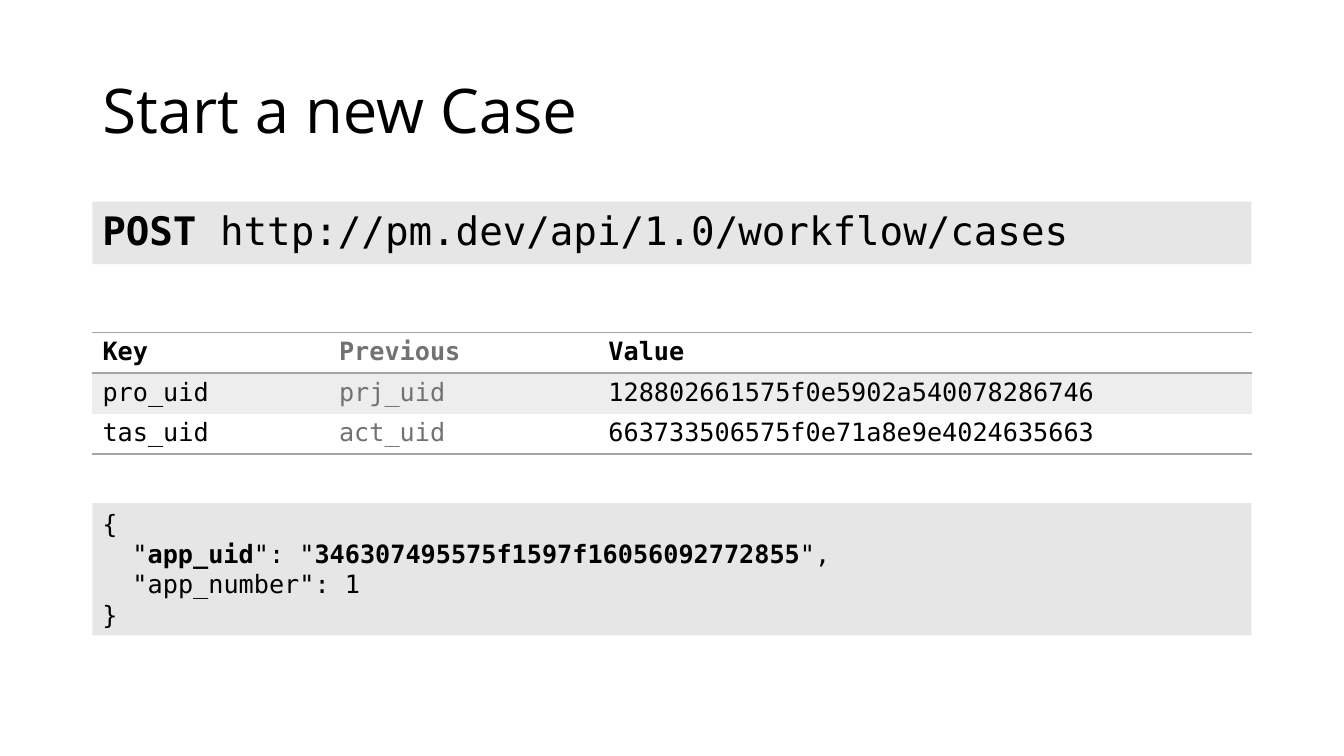
from lxml import etree
from pptx import Presentation
from pptx.dml.color import RGBColor
from pptx.enum.shapes import MSO_SHAPE
from pptx.enum.text import MSO_ANCHOR, PP_ALIGN
from pptx.oxml.ns import qn
from pptx.util import Cm, Pt

RECT = MSO_SHAPE.RECTANGLE
TOP, MIDDLE = MSO_ANCHOR.TOP, MSO_ANCHOR.MIDDLE
LEFT_ALIGN = PP_ALIGN.LEFT

COLORS = {"text": "000000", "muted": "767171", "panel": "E7E6E6",
          "band": "EDEDED", "rule": "A5A5A5"}
SANS, MONO = "Open Sans", "DejaVu Sans Mono"

# Each line is (indent in cm, [(text, bold), ...])
TITLE = [(0, [("Start a new Case", False)])]
REQUEST = [(0, [("POST ", True), ("http://pm.dev/api/1.0/workflow/cases", False)])]
RESPONSE = [
    (0, [("{", False)]),
    (0.76, [('"', False), ("app_uid", True), ('": "', False),
            ("346307495575f1597f16056092772855", True), ('",', False)]),
    (0.76, [('"app_number": 1', False)]),
    (0, [("}", False)]),
]
PARAMETERS = [
    ("Key", "Previous", "Value"),
    ("pro_uid", "prj_uid", "128802661575f0e5902a540078286746"),
    ("tas_uid", "act_uid", "663733506575f0e71a8e9e4024635663"),
]
COLUMN_COLORS = ["text", "muted", "text"]
COLUMN_WIDTHS = [5.96, 6.79, 16.46]

LEFT, WIDTH = 2.33, sum(COLUMN_WIDTHS)
ROW_HEIGHT = 1.02


def write(tf, lines, size=18, font=MONO, color="text", anchor=TOP, spacing=1.0):
    tf.word_wrap = True
    tf.vertical_anchor = anchor
    for i, (indent, parts) in enumerate(lines):
        p = tf.paragraphs[0] if i == 0 else tf.add_paragraph()
        p.alignment = LEFT_ALIGN
        p.line_spacing = spacing
        if indent:
            p._p.get_or_add_pPr().set("marL", str(Cm(indent)))
        for text, bold in parts:
            r = p.add_run()
            r.text = text
            r.font.name, r.font.size, r.font.bold = font, Pt(size), bold
            r.font.color.rgb = RGBColor.from_string(COLORS[color])


def add_panel(s, top, height, lines, **text_format):
    sp = s.shapes.add_shape(RECT, Cm(LEFT), Cm(top), Cm(WIDTH), Cm(height))
    sp.shadow.inherit = False
    sp.fill.solid()
    sp.fill.fore_color.rgb = RGBColor.from_string(COLORS["panel"])
    sp.line.fill.background()
    write(sp.text_frame, lines, **text_format)


def set_borders(cell, ruled):
    """Rule the named sides and clear the others; call before filling the cell."""
    tc_pr = cell._tc.get_or_add_tcPr()
    for side in ("lnL", "lnR", "lnT", "lnB"):
        ln = etree.SubElement(tc_pr, qn(f"a:{side}"), w=str(Pt(1)))
        if side in ruled:
            fill = etree.SubElement(ln, qn("a:solidFill"))
            etree.SubElement(fill, qn("a:srgbClr"), val=COLORS["rule"])
        else:
            etree.SubElement(ln, qn("a:noFill"))


def add_parameters(s, top):
    table = s.shapes.add_table(len(PARAMETERS), len(COLUMN_WIDTHS), Cm(LEFT), Cm(top),
                               Cm(WIDTH), Cm(ROW_HEIGHT * len(PARAMETERS))).table
    table.first_row = table.horz_banding = False
    for column, width in zip(table.columns, COLUMN_WIDTHS):
        column.width = Cm(width)
    borders = [("lnT", "lnB"), ("lnT",), ("lnB",)]
    for i, row in enumerate(PARAMETERS):
        table.rows[i].height = Cm(ROW_HEIGHT)
        for j, text in enumerate(row):
            cell = table.cell(i, j)
            set_borders(cell, borders[i])
            if i == 1:
                cell.fill.solid()
                cell.fill.fore_color.rgb = RGBColor.from_string(COLORS["band"])
            else:
                cell.fill.background()
            write(cell.text_frame, [(0, [(text, i == 0)])], color=COLUMN_COLORS[j])


def main():
    prs = Presentation()
    prs.slide_width, prs.slide_height = Cm(33.87), Cm(19.05)
    s = prs.slides.add_slide(prs.slide_layouts[6])
    title = s.shapes.add_textbox(Cm(LEFT), Cm(1.01), Cm(WIDTH), Cm(3.68))
    write(title.text_frame, TITLE, size=44, font=SANS, anchor=MIDDLE, spacing=0.9)
    add_panel(s, 5.08, 1.58, REQUEST, size=28)
    add_panel(s, 12.68, 3.33, RESPONSE)
    add_parameters(s, 8.38)
    prs.save("out.pptx")


if __name__ == "__main__":
    main()
